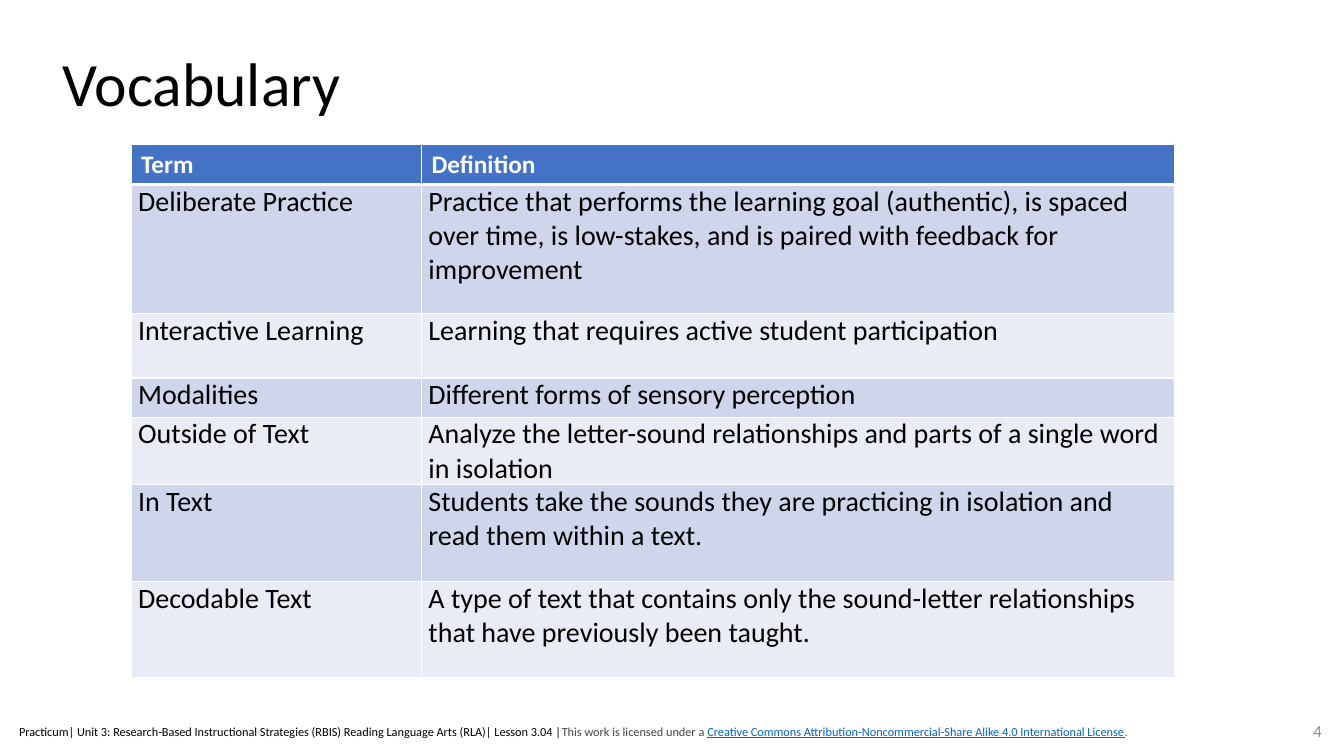
from pptx import Presentation
from pptx.dml.color import RGBColor as Rgb
from pptx.enum.text import MSO_ANCHOR as Anchor, PP_ALIGN as Align
from pptx.oxml import parse_xml
from pptx.oxml.ns import nsdecls
from pptx.util import Inches, Pt

THEME = {
    "font": "Calibri", "ink": "000000", "white": "FFFFFF", "head": "4472C4",
    "bands": ("CFD5EA", "E9EBF5"), "num": "8C8C8C", "note": "464646",
    "link": "0563C1", "dot": "0070C0",
    "title": 44, "label": 18, "body": 20, "page": 12, "foot": 8.8,
}
TITLE = "Vocabulary"
HEADS = ("Term", "Definition")
TERMS = [
    ("Deliberate Practice", "Practice that performs the learning goal (authentic), is spaced over time, is low-stakes, and is paired with feedback for improvement", 1.28),
    ("Interactive Learning", "Learning that requires active student participation", 0.64),
    ("Modalities", "Different forms of sensory perception", 0.39),
    ("Outside of Text", "Analyze the letter-sound relationships and parts of a single word in isolation", 0.64),
    ("In Text", "Students take the sounds they are practicing in isolation and read them within a text.", 0.96),
    ("Decodable Text", "A type of text that contains only the sound-letter relationships that have previously been taught.", 0.96),
]
FOOTER = [
    ("Practicum| Unit 3: Research-Based Instructional Strategies (RBIS) Reading Language Arts (RLA)| Lesson 3.04 |", THEME["ink"], False),
    ("This work is licensed under a ", THEME["note"], False),
    ("Creative Commons Attribution-Noncommercial-Share Alike 4.0 International License", THEME["link"], True),
    (".", THEME["dot"], False),
]
PAGE = "4"
COLS = (2.88, 7.47)
HEAD_H = 0.39


def write(par, text, size, color=THEME["ink"], bold=False, line=False):
    run = par.add_run()
    run.text = text
    font = run.font
    font.name, font.size = THEME["font"], Pt(size)
    font.bold, font.underline = bold, line
    font.color.rgb = Rgb.from_string(color)


def add_box(slide, left, top, width, height):
    box = slide.shapes.add_textbox(*map(Inches, (left, top, width, height)))
    frame = box.text_frame
    frame.word_wrap = True
    frame.vertical_anchor = Anchor.MIDDLE
    return frame.paragraphs[0]


def style(cell, fill, top=1, base=1):
    cell.fill.solid()
    cell.fill.fore_color.rgb = Rgb.from_string(fill)
    props = cell._tc.get_or_add_tcPr()
    sides = (("L", 1), ("R", 1), ("T", top), ("B", base))
    for spot, (side, width) in enumerate(sides):
        props.insert(spot, parse_xml(
            f'<a:ln{side} {nsdecls("a")} w="{Pt(width)}"><a:solidFill>'
            f'<a:srgbClr val="{THEME["white"]}"/></a:solidFill></a:ln{side}>'))


def add_terms(slide):
    heights = [HEAD_H] + [term[2] for term in TERMS]
    frame = slide.shapes.add_table(
        len(heights), len(COLS), Inches(1.3), Inches(1.43),
        Inches(sum(COLS)), Inches(sum(heights)))
    table = frame.table
    for col, width in zip(table.columns, COLS):
        col.width = Inches(width)
    for row, height in zip(table.rows, heights):
        row.height = Inches(height)
    for col, text in enumerate(HEADS):
        cell = table.cell(0, col)
        style(cell, THEME["head"], base=3)
        write(cell.text_frame.paragraphs[0], text, THEME["label"], THEME["white"], bold=True)
    for row, term in enumerate(TERMS, 1):
        for col, text in enumerate(term[:2]):
            cell = table.cell(row, col)
            style(cell, THEME["bands"][(row - 1) % 2], top=3 if row == 1 else 1)
            cell.margin_left = cell.margin_right = Inches(0.07)
            cell.margin_top = cell.margin_bottom = 0
            par = cell.text_frame.paragraphs[0]
            par.space_after = Pt(6)
            write(par, text, THEME["body"])


def main():
    deck = Presentation()
    deck.slide_width, deck.slide_height = Inches(13.33), Inches(7.5)
    slide = deck.slides.add_slide(deck.slide_layouts[6])
    title = add_box(slide, 0.52, 0.13, 11.5, 1.45)
    title.line_spacing = 0.9
    write(title, TITLE, THEME["title"])
    add_terms(slide)
    page = add_box(slide, 10.21, 7.05, 3, 0.4)
    page.alignment = Align.RIGHT
    write(page, PAGE, THEME["page"], THEME["num"])
    foot = add_box(slide, 0.09, 7.09, 12.42, 0.33)
    for text, color, line in FOOTER:
        write(foot, text, THEME["foot"], color, line=line)
    deck.save("out.pptx")


if __name__ == "__main__":
    main()
